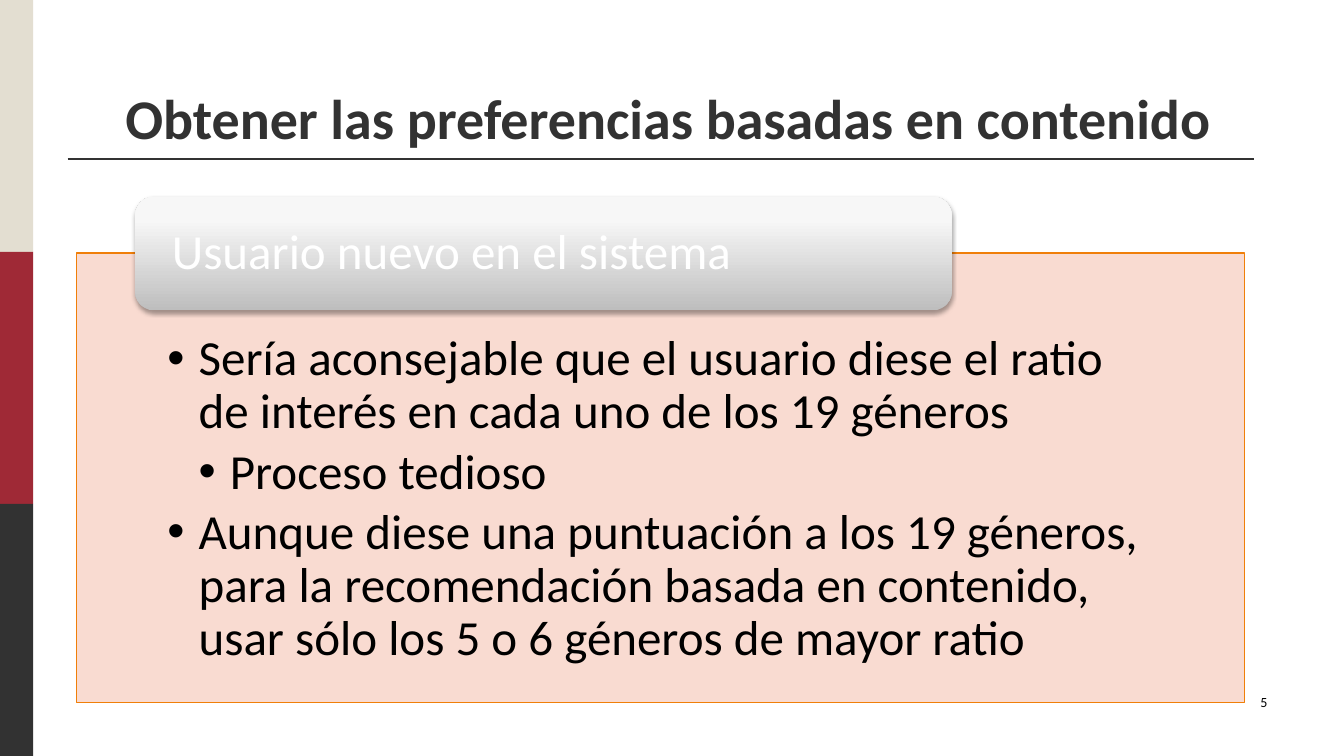
import pptx
import pptx.dml.color
import pptx.enum.shapes
import pptx.enum.text
import pptx.oxml
import pptx.oxml.ns
import pptx.util
from pptx.util import Inches

COLORS = {
    "sand": "E3DED1",
    "red": "9F2936",
    "dark": "323232",
    "panel": "F9D8CC",
    "orange": "F07F09",
    "black": "000000",
    "white": "FFFFFF",
}
HEADER_GRADIENT = [(0, "BEBEBE"), (80, "F7F7F7"), (100, "F8F8F8")]
BULLETS = [
    (0, "Sería aconsejable que el usuario diese el ratio de interés en cada uno de los 19 géneros"),
    (1, "Proceso tedioso"),
    (0, "Aunque diese una puntuación a los 19 géneros, para la recomendación basada en "
        "contenido, usar sólo los 5 o 6 géneros de mayor ratio"),
]


def rgb(name):
    return pptx.dml.color.RGBColor.from_string(COLORS[name])


def element(xml):
    """Parse one DrawingML element written with the a: prefix."""
    tag, rest = xml[1:].split(" ", 1)
    return pptx.oxml.parse_xml(f"<{tag} {pptx.oxml.ns.nsdecls('a')} {rest}")


class SlideBuilder:
    """Holds the text style and the slide being filled."""

    font = "Calibri"
    text_size = 35

    def __init__(self, deck):
        self.slide = deck.slides.add_slide(deck.slide_layouts[1])
        self.shapes = self.slide.shapes

    def place(self, shape, left, top, width, height):
        shape.left, shape.top = Inches(left), Inches(top)
        shape.width, shape.height = Inches(width), Inches(height)

    def set_frame(self, shape, anchor, margins=(0.1, 0.05, 0.1, 0.05)):
        """Fix wrapping, anchor and margins (left, top, right, bottom)."""
        frame = shape.text_frame
        frame.word_wrap = True
        frame.auto_size = pptx.enum.text.MSO_AUTO_SIZE.NONE
        frame.vertical_anchor = anchor
        (frame.margin_left, frame.margin_top,
         frame.margin_right, frame.margin_bottom) = map(Inches, margins)
        return frame

    def fill_paragraph(self, para, text, color, size=text_size, bold=False, align="LEFT"):
        para.text = text
        para.alignment = pptx.enum.text.PP_ALIGN[align]
        para.space_before = pptx.util.Pt(0)
        for span in para.runs:
            span.font.name = self.font
            span.font.size = pptx.util.Pt(size)
            span.font.bold = bold
            span.font.color.rgb = rgb(color)

    def band(self, left, top, width, height, color):
        band = self.shapes.add_shape(
            pptx.enum.shapes.MSO_SHAPE.RECTANGLE,
            Inches(left), Inches(top), Inches(width), Inches(height))
        band.shadow.inherit = False
        band.fill.solid()
        band.fill.fore_color.rgb = rgb(color)
        band.line.fill.background()

    def rule(self, left, right, top, color):
        rule = self.shapes.add_connector(
            pptx.enum.shapes.MSO_CONNECTOR.STRAIGHT,
            Inches(left), Inches(top), Inches(right), Inches(top))
        rule.line.color.rgb = rgb(color)
        rule.line.width = pptx.util.Pt(1.5)
        rule._element.spPr.append(element("<a:effectLst />"))

    def title(self, text, *place):
        title = self.shapes.title
        self.place(title, *place)
        frame = self.set_frame(title, pptx.enum.text.MSO_ANCHOR.BOTTOM)
        self.fill_paragraph(frame.paragraphs[0], text, "dark", 40, True, "CENTER")

    def bullet_panel(self, bullets, *place):
        panel = self.slide.placeholders[1]
        self.place(panel, *place)
        panel.fill.solid()
        panel.fill.fore_color.rgb = rgb("panel")
        fill_color = panel._element.spPr.find(".//" + pptx.oxml.ns.qn("a:srgbClr"))
        fill_color.append(element('<a:alpha val="90000"/>'))
        panel.line.color.rgb = rgb("orange")
        panel.line.width = pptx.util.Pt(0.75)
        frame = self.set_frame(
            panel, pptx.enum.text.MSO_ANCHOR.TOP, (0.9, 0.8, 0.9, 0.27))
        for index, (level, text) in enumerate(bullets):
            para = frame.add_paragraph() if index else frame.paragraphs[0]
            para.level = level
            para.line_spacing = 0.9
            para.space_after = pptx.util.Pt(5.25)
            self.fill_paragraph(para, text, "black")
            properties = para._p.get_or_add_pPr()
            properties.set("marL", str(Inches(0.31 * (level + 1))))
            properties.set("indent", str(Inches(-0.31)))
            properties.append(element('<a:buFont typeface="Arial"/>'))
            properties.append(element('<a:buChar char="•"/>'))

    def header(self, text, left, top, width, height):
        header = self.shapes.add_shape(
            pptx.enum.shapes.MSO_SHAPE.ROUNDED_RECTANGLE,
            Inches(left), Inches(top), Inches(width), Inches(height))
        header.line.fill.background()
        header.fill.gradient()
        gradient = header._element.spPr.find(pptx.oxml.ns.qn("a:gradFill"))
        for child in list(gradient):
            gradient.remove(child)
        stops = element("<a:gsLst />")
        for position, color in HEADER_GRADIENT:
            stops.append(element(
                f'<a:gs pos="{position * 1000}"><a:srgbClr val="{color}"/></a:gs>'))
        gradient.append(stops)
        gradient.append(element('<a:lin ang="16200000" scaled="0"/>'))
        header.shadow.inherit = False
        effects = header._element.spPr.find(pptx.oxml.ns.qn("a:effectLst"))
        blur, distance = pptx.util.Pt(3.1), pptx.util.Pt(1.8)
        effects.append(element(
            f'<a:outerShdw blurRad="{blur}" dist="{distance}" dir="5400000" rotWithShape="0">'
            f'<a:srgbClr val="{COLORS["black"]}"><a:alpha val="35000"/></a:srgbClr>'
            '</a:outerShdw>'))
        frame = self.set_frame(
            header, pptx.enum.text.MSO_ANCHOR.MIDDLE, (0.31, 0, 0.31, 0))
        frame.paragraphs[0].line_spacing = 0.9
        self.fill_paragraph(frame.paragraphs[0], text, "white")

    def page_number(self, text, left, top, width, height):
        box = self.shapes.add_textbox(
            Inches(left), Inches(top), Inches(width), Inches(height))
        frame = self.set_frame(box, pptx.enum.text.MSO_ANCHOR.TOP)
        self.fill_paragraph(frame.paragraphs[0], text, "black", 10, align="RIGHT")


def main():
    deck = pptx.Presentation()
    deck.slide_width, deck.slide_height = Inches(13.33), Inches(7.5)
    builder = SlideBuilder(deck)
    for index, color in enumerate(("sand", "red", "dark")):
        builder.band(0, 2.5 * index, 0.33, 2.5, color)
    builder.rule(0.67, 12.44, 1.58, "dark")
    builder.title("Obtener las preferencias basadas en contenido", 0.68, 0.3, 11.89, 1.25)
    builder.bullet_panel(BULLETS, 0.76, 2.51, 11.58, 4.46)
    builder.header("Usuario nuevo en el sistema", 1.34, 1.95, 8.1, 1.13)
    builder.page_number("5", 9.56, 6.83, 3.11, 0.5)
    deck.save("out.pptx")


if __name__ == "__main__":
    main()
